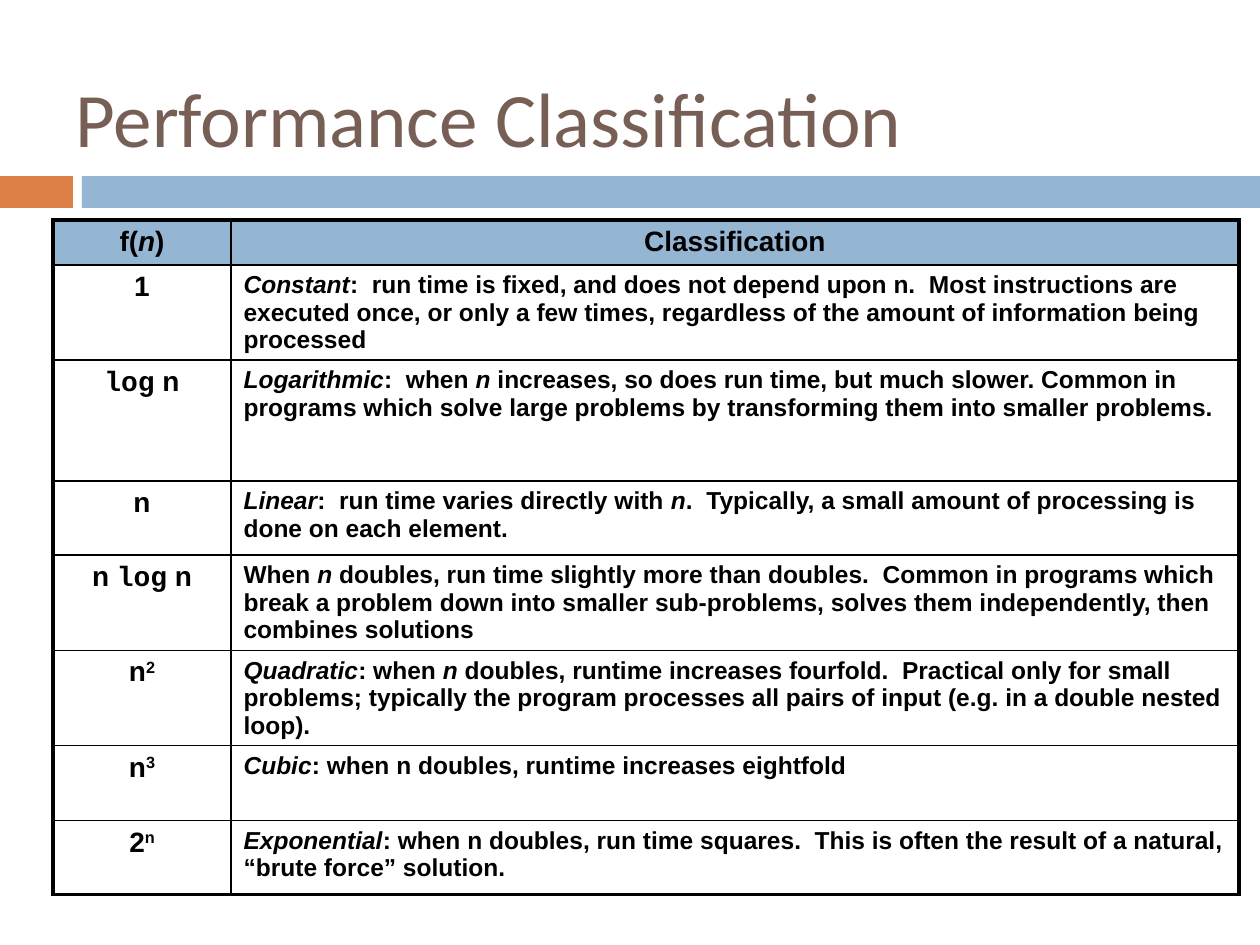
"""Builds a slide with a table of run time classes."""
from lxml import etree
from pptx import Presentation, util as u
from pptx.dml.color import RGBColor
from pptx.enum import shapes, text
from pptx.oxml import ns

SCALE = 914400 / 126
BLUE, ORANGE, BROWN, BLACK = "94B6D2", "DD8047", "775F55", "000000"
ITALIC, MONO, RAISED = {"italic": True}, {"name": "Courier New"}, {"raised": True}


def px(*lengths):
    return [u.Emu(round(length * SCALE)) for length in lengths]


def write(para, words, size=14, color=BLACK, name="Arial", bold=True, italic=False, raised=False):
    span = para.add_run()
    span.text = words
    font = span.font
    font.size, font.name, font.bold, font.italic = u.Pt(size), name, bold, italic
    font.color.rgb = RGBColor.from_string(color)
    if raised:
        span._r.get_or_add_rPr().set("baseline", "30000")


ROWS = [
    (45, [("f(", {}), ("n", ITALIC), (")", {})], [("Classification", {"size": 16})]),
    (95, [("1", {})], [
        ("Constant", ITALIC),
        (":  run time is fixed, and does not depend upon n.  Most instructions are executed once, "
         "or only a few times, regardless of the amount of information being processed", {})]),
    (121, [("log", MONO), (" n", {})], [
        ("Logarithmic", ITALIC), (":  when ", {}), ("n", ITALIC),
        (" increases, so does run time, but much slower. Common in programs which solve large "
         "problems by transforming them into smaller problems.", {})]),
    (74, [("n", {})], [
        ("Linear", ITALIC), (":  run time varies directly with", {}), (" n", ITALIC),
        (".  Typically, a small amount of processing is done on each element.", {})]),
    (95, [("n ", {}), ("log", MONO), (" n", {})], [
        ("When ", {}), ("n", ITALIC),
        (" doubles, run time slightly more than doubles.  Common in programs which break a problem "
         "down into smaller sub-problems, solves them independently, then combines solutions", {})]),
    (95, [("n", {}), ("2", RAISED)], [
        ("Quadratic", ITALIC), (": when ", {}), ("n ", ITALIC),
        ("doubles, runtime increases fourfold.  Practical only for small problems; typically the "
         "program processes all pairs of input (e.g. in a double nested loop).", {})]),
    (75, [("n", {}), ("3", RAISED)], [
        ("Cubic", ITALIC), (": when n doubles, runtime increases eightfold", {})]),
    (74, [("2", {}), ("n", RAISED)], [
        ("Exponential", ITALIC),
        (": when n doubles, run time squares.  This is often the result of a natural, "
         "“brute force” solution.", {})]),
]
COLUMNS = (178, 1008)

deck = Presentation()
deck.slide_width, deck.slide_height = px(1260, 945)
page = deck.slides.add_slide(deck.slide_layouts[5])

title = page.shapes.title
title.left, title.top, title.width, title.height = px(63, 38, 1134, 158)
title.text_frame.vertical_anchor = text.MSO_ANCHOR.MIDDLE
para = title.text_frame.paragraphs[0]
para.alignment = text.PP_ALIGN.LEFT
write(para, "Performance Classification", size=44, color=BROWN, name="Calibri", bold=False)

for left, width, color in ((0, 73, ORANGE), (82, 1178, BLUE)):
    band = page.shapes.add_shape(shapes.MSO_SHAPE.RECTANGLE, *px(left, 176, width, 32))
    band.shadow.inherit = False
    band.fill.solid()
    band.fill.fore_color.rgb = RGBColor.from_string(color)
    band.line.fill.background()
    title._element.addprevious(band._element)

height = sum(row[0] for row in ROWS)
table = page.shapes.add_table(len(ROWS), 2, *px(53, 220, sum(COLUMNS), height)).table
table.first_row = table.horz_banding = False
for column, width in zip(table.columns, px(*COLUMNS)):
    column.width = width

for r, (height, *contents) in enumerate(ROWS):
    table.rows[r].height = px(height)[0]
    for c, spans in enumerate(contents):
        cell = table.cell(r, c)
        para = cell.text_frame.paragraphs[0]
        para.alignment = text.PP_ALIGN.LEFT if r and c else text.PP_ALIGN.CENTER
        for words, style in spans:
            write(para, words, **{"size": 14 if c else 16, **style})
        if r:
            cell.fill.background()
        else:
            cell.fill.solid()
            cell.fill.fore_color.rgb = RGBColor.from_string(BLUE)
        edges = {"lnL": c == 0, "lnR": c == 1, "lnT": r == 0, "lnB": r == len(ROWS) - 1}
        for place, (edge, outer) in enumerate(edges.items()):
            line = etree.Element(ns.qn("a:" + edge), w=str(u.Pt(2.25 if outer else 1)))
            paint = etree.SubElement(line, ns.qn("a:solidFill"))
            etree.SubElement(paint, ns.qn("a:srgbClr"), val=BLACK)
            cell._tc.get_or_add_tcPr().insert(place, line)

deck.save("out.pptx")
